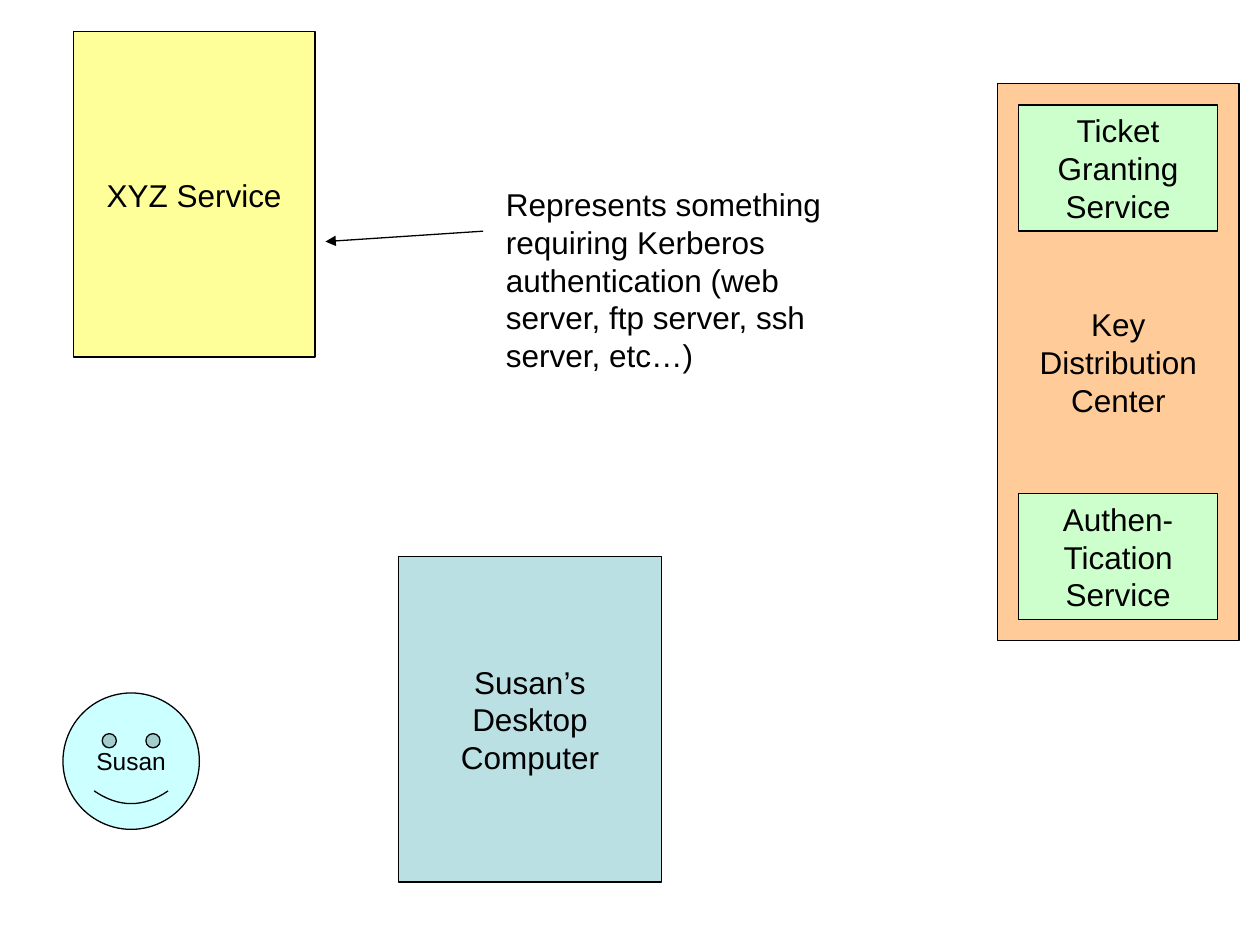
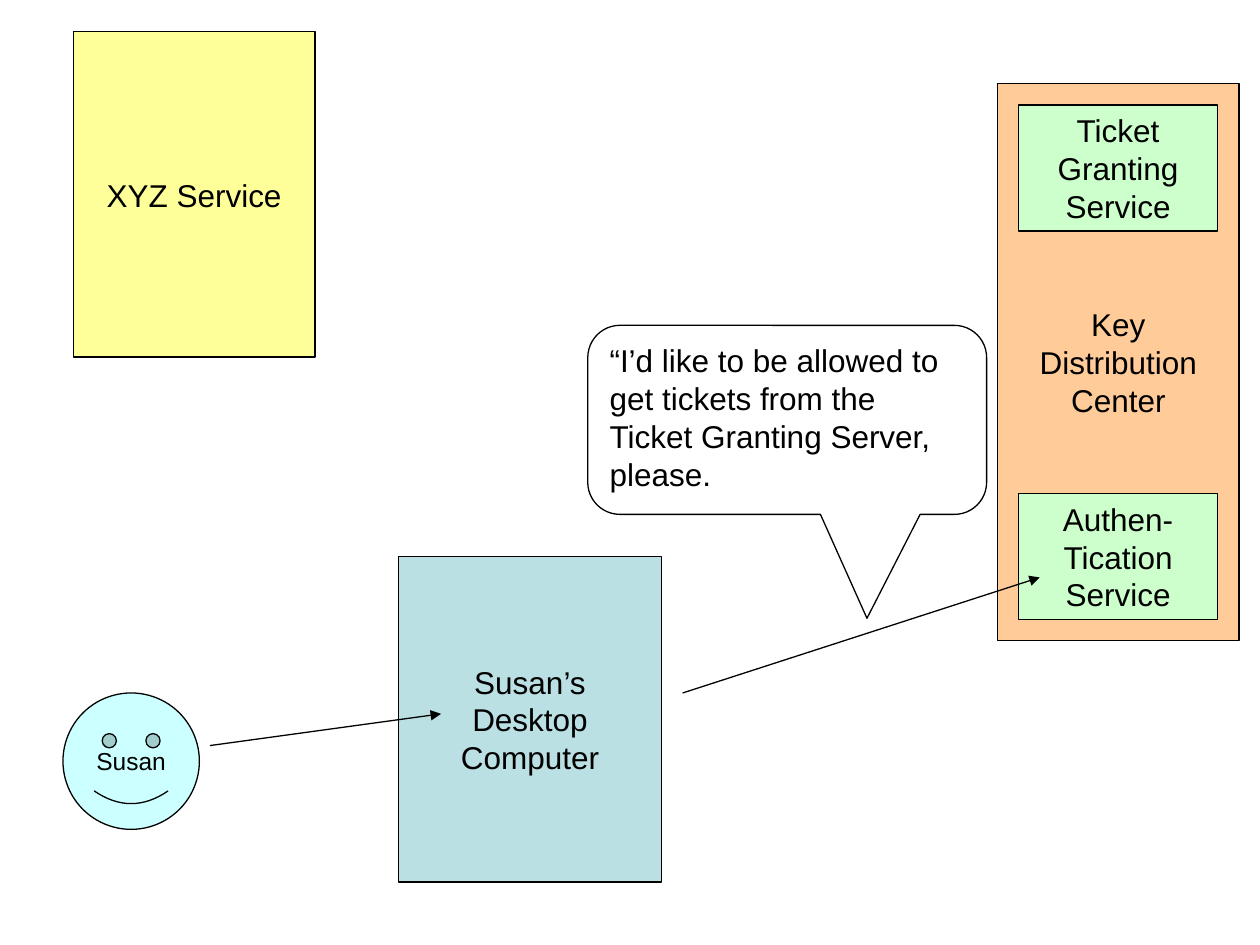
from lxml import etree
from pptx import Presentation
from pptx.dml.color import RGBColor
from pptx.enum.shapes import MSO_CONNECTOR, MSO_SHAPE
from pptx.enum.text import MSO_ANCHOR, PP_ALIGN
from pptx.oxml.ns import qn
from pptx.util import Cm, Pt

RECT = MSO_SHAPE.RECTANGLE
SMILE = MSO_SHAPE.SMILEY_FACE
BUBBLE = MSO_SHAPE.ROUNDED_RECTANGULAR_CALLOUT
STRAIGHT = MSO_CONNECTOR.STRAIGHT
TOP, MIDDLE = MSO_ANCHOR.TOP, MSO_ANCHOR.MIDDLE
LEFT, CENTER = PP_ALIGN.LEFT, PP_ALIGN.CENTER

BLACK = RGBColor(0x00, 0x00, 0x00)
WHITE = RGBColor(0xFF, 0xFF, 0xFF)
YELLOW = RGBColor(0xFF, 0xFF, 0x99)
ORANGE = RGBColor(0xFF, 0xCC, 0x99)
GREEN = RGBColor(0xCC, 0xFF, 0xCC)
TEAL = RGBColor(0xBB, 0xE0, 0xE3)
CYAN = RGBColor(0xCC, 0xFF, 0xFF)

LABEL = {"word_wrap": False, "vertical_anchor": MIDDLE}
PROSE = {"word_wrap": True, "vertical_anchor": TOP}
INSET = {"margin_left": Cm(0.25), "margin_right": Cm(0.25),
         "margin_top": Cm(0.13), "margin_bottom": Cm(0.13)}


def apply(target, values):
    """Set every attribute in values on the target."""
    for name, value in values.items():
        setattr(target, name, value)


class Sketch:
    """Draws the diagram's elements on the current slide in one style."""

    def __init__(self, deck):
        """Keep the deck and the shared style."""
        self.deck = deck
        self.font = {"name": "Arial", "size": Pt(18)}
        self.slide = None

    def start(self):
        """Add a blank slide and make it current."""
        self.slide = self.deck.slides.add_slide(self.deck.slide_layouts[6])

    def label(self, shape, text, frame, align, **font):
        """Fill a shape with styled text, one paragraph a line."""
        body = shape.text_frame
        body.text = text
        apply(body, {**INSET, **frame})
        for para in body.paragraphs:
            para.alignment = align
            apply(para.font, {**self.font, **font})
            para.font.color.rgb = BLACK

    def shape(self, kind, area, fill, adjust=()):
        """Add an outlined preset shape."""
        shape = self.slide.shapes.add_shape(kind, *map(Cm, area))
        shape.shadow.inherit = False
        shape.fill.solid()
        shape.fill.fore_color.rgb = fill
        shape.line.color.rgb = BLACK
        shape.line.width = Pt(0.75)
        for index, value in enumerate(adjust):
            shape.adjustments[index] = value
        return shape

    def box(self, text, area, fill):
        """Add a rectangle with a centred label."""
        self.label(self.shape(RECT, area, fill), text, LABEL, CENTER)

    def face(self, text, area):
        """Add a smiling user with a name."""
        shape = self.shape(SMILE, area, CYAN, [0.093])
        self.label(shape, text, LABEL, CENTER, size=Pt(14))

    def speech(self, text, area, adjust):
        """Add a speech bubble."""
        self.label(self.shape(BUBBLE, area, WHITE, adjust), text, PROSE, LEFT)

    def note(self, text, area):
        """Add a plain text box."""
        shape = self.slide.shapes.add_textbox(*map(Cm, area))
        self.label(shape, text, PROSE, LEFT)

    def arrow(self, *ends):
        """Add a straight arrow from x, y to x, y."""
        link = self.slide.shapes.add_connector(STRAIGHT, *map(Cm, ends))
        link.line.color.rgb = BLACK
        link.line.width = Pt(0.75)
        props = link.element.spPr
        etree.SubElement(props.find(qn("a:ln")), qn("a:tailEnd"), type="triangle")
        etree.SubElement(props, qn("a:effectLst"))

    def scene(self):
        """Start a slide with the parties found on every slide."""
        self.start()
        self.box("Susan’s\nDesktop\nComputer", (8.04, 11.22, 5.29, 6.56), TEAL)
        self.face("Susan", (1.27, 13.97, 2.75, 2.75))
        self.box("Key\nDistribution\nCenter", (20.11, 1.69, 4.87, 11.22), ORANGE)
        for text, top in (("Ticket\nGranting\nService", 2.12),
                          ("Authen-\nTication\nService", 9.95)):
            self.box(text, (20.53, top, 4.02, 2.54), GREEN)
        self.box("XYZ Service", (1.48, 0.64, 4.87, 6.56), YELLOW)


def main():
    """Build and save the slides."""
    deck = Presentation()
    apply(deck, {"slide_width": Cm(25.4), "slide_height": Cm(19.05)})
    sketch = Sketch(deck)

    sketch.scene()
    sketch.arrow(9.74, 4.66, 6.56, 4.87)
    sketch.note("Represents something requiring Kerberos authentication "
                "(web server, ftp server, ssh server, etc…)",
                (9.95, 3.6, 7.2, 4.06))

    sketch.scene()
    sketch.arrow(4.23, 15.03, 8.89, 14.39)
    sketch.arrow(13.76, 13.97, 20.96, 11.64)
    sketch.speech("“I’d like to be allowed to get tickets from the "
                  "Ticket Granting Server, please.",
                  (11.85, 6.56, 8.04, 3.81), (0.2, 1.05, 0.17))

    deck.save("out.pptx")


if __name__ == "__main__":
    main()
